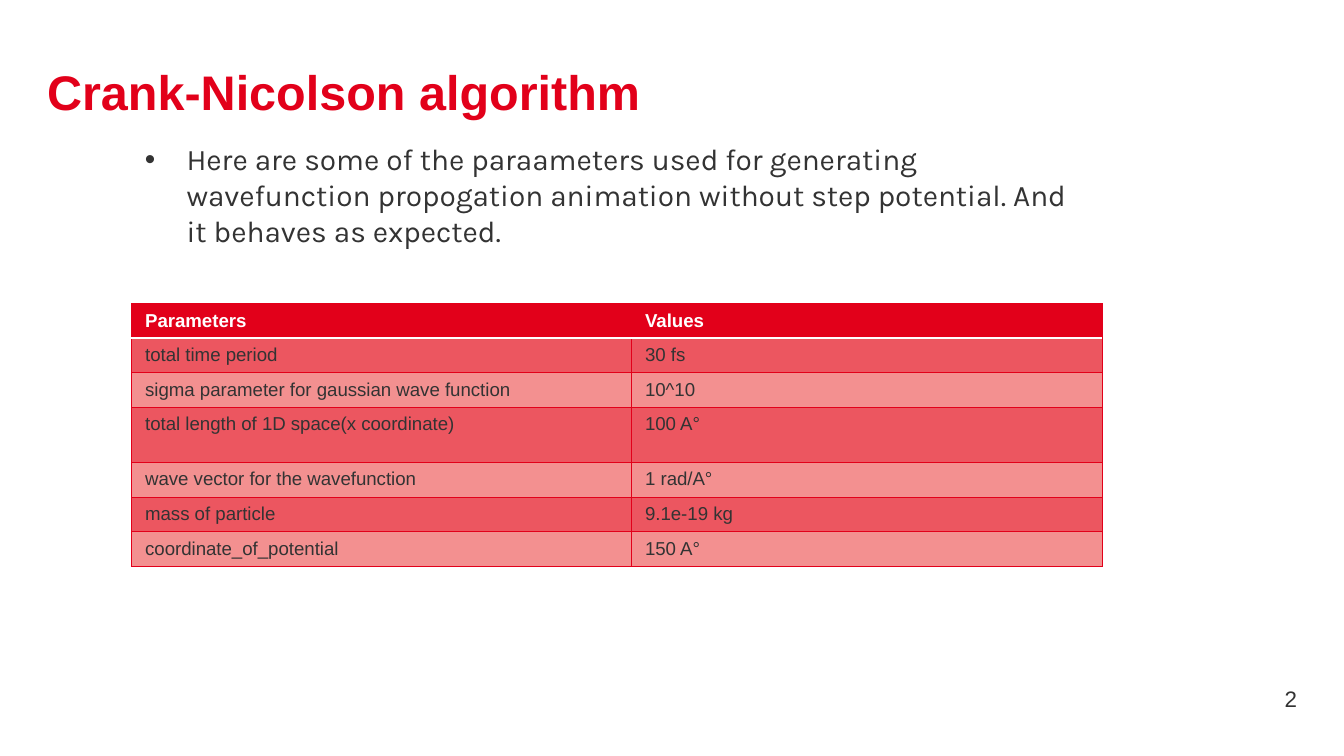
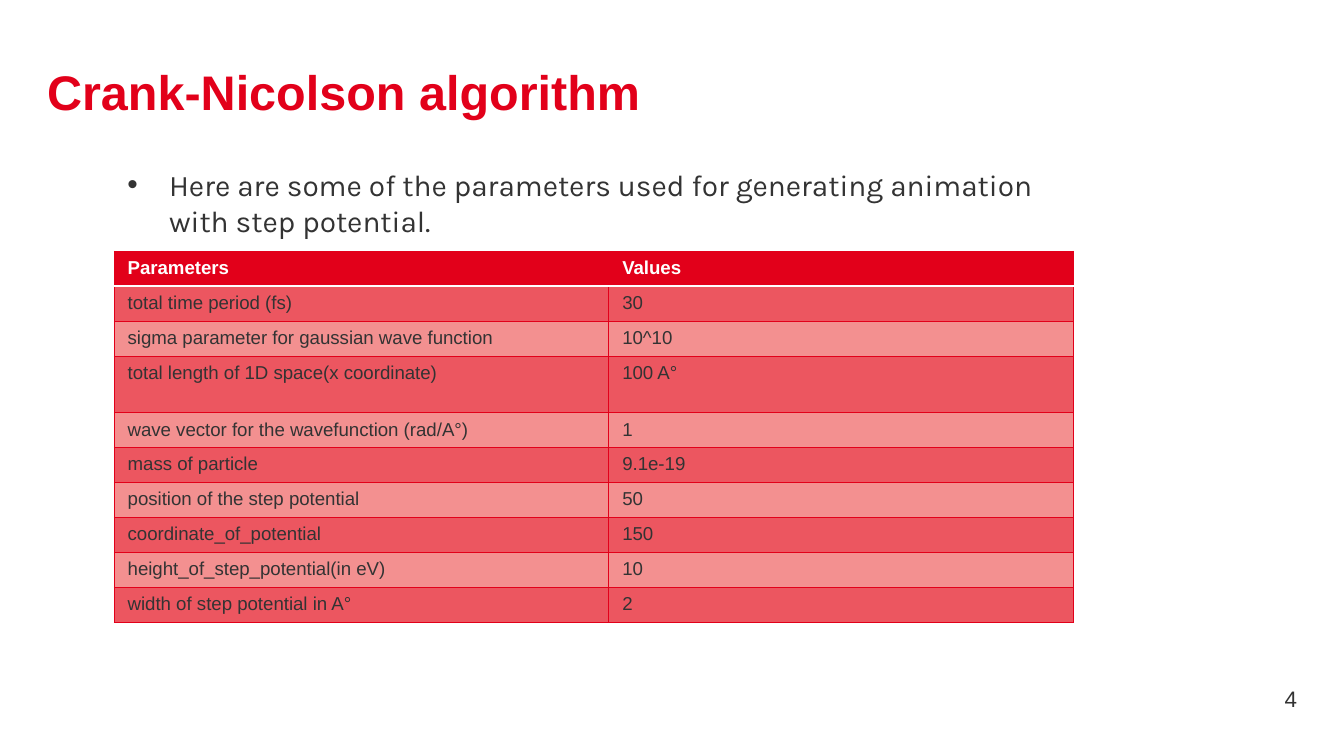
from lxml.etree import SubElement
from pptx import Presentation
from pptx.dml.color import RGBColor
from pptx.enum.text import MSO_ANCHOR, PP_ALIGN
from pptx.oxml.ns import qn
from pptx.util import Inches, Pt

COLORS = {
    "accent": "E2001A",
    "text": "333333",
    "white": "FFFFFF",
    "odd_row": "EC5660",
    "even_row": "F39090",
}
TITLE = "Crank-Nicolson algorithm"
HEADER = ("Parameters", "Values")
TALL_ROW = 3

SLIDES = [
    {
        "number": "2",
        "intro": "Here are some of the paraameters used for generating wavefunction "
                 "propogation animation without step potential. And it behaves as expected.",
        "intro_at": (0.98, 1, 7.22, 0.91),
        "table_at": (0.98, 2.26),
        "columns": (3.72, 3.5),
        "row_heights": (0.25, 0.41),
        "parameters": [
            ("total time period", "30 fs"),
            ("sigma parameter for gaussian wave function", "10^10"),
            ("total length of 1D space(x coordinate)", "100 A°"),
            ("wave vector for the wavefunction", "1 rad/A°"),
            ("mass of particle", "9.1e-19 kg"),
            ("coordinate_of_potential", "150 A°"),
        ],
    },
    {
        "number": "4",
        "intro": "Here are some of the parameters used for generating animation "
                 "with step potential.",
        "intro_at": (0.85, 1.19, 7.22, 0.64),
        "table_at": (0.85, 1.87),
        "columns": (3.68, 3.46),
        "row_heights": (0.26, 0.42),
        "parameters": [
            ("total time period (fs)", "30"),
            ("sigma parameter for gaussian wave function", "10^10"),
            ("total length of 1D space(x coordinate)", "100 A°"),
            ("wave vector for the wavefunction (rad/A°)", "1"),
            ("mass of particle", "9.1e-19"),
            ("position of the step potential", "50"),
            ("coordinate_of_potential", "150"),
            ("height_of_step_potential(in eV)", "10"),
            ("width of step potential in A°", "2"),
        ],
    },
]


def add_text(slide, text, at, size, color, font="Arial", bold=False, insets=(0.1, 0.1)):
    """Add a one-paragraph text box; insets are left and right. Return its frame."""
    frame = slide.shapes.add_textbox(*map(Inches, at)).text_frame
    frame.word_wrap = True
    frame.margin_left, frame.margin_right = map(Inches, insets)
    paragraph = frame.paragraphs[0]
    paragraph.text = text
    paragraph.font.name = font
    paragraph.font.size = Pt(size)
    paragraph.font.bold = bold
    paragraph.font.color.rgb = RGBColor.from_string(COLORS[color])
    return frame


def add_border(cell, side, color, width):
    line = SubElement(cell._tc.get_or_add_tcPr(), qn(f"a:ln{side}"), w=str(Pt(width)))
    fill = SubElement(line, qn("a:solidFill"))
    SubElement(fill, qn("a:srgbClr"), val=COLORS[color])


deck = Presentation()
deck.slide_width = Inches(10)
deck.slide_height = deck.slide_width * 9 // 16

for content in SLIDES:
    slide = deck.slides.add_slide(deck.slide_layouts[6])

    title = add_text(slide, TITLE, (0.35, 0.37, 9.29, 0.63), 26, "accent",
                     bold=True, insets=(0, 0.1))
    title.paragraphs[0].line_spacing = 1.1

    number = add_text(slide, content["number"], (8.88, 5.05, 0.77, 0.3), 12, "text",
                      insets=(0.1, 0))
    number.vertical_anchor = MSO_ANCHOR.MIDDLE
    number.paragraphs[0].alignment = PP_ALIGN.RIGHT
    number.paragraphs[0].space_after = Pt(6)

    rows = [HEADER] + content["parameters"]
    normal, tall = content["row_heights"]
    heights = [tall if i == TALL_ROW else normal for i in range(len(rows))]
    size = (sum(content["columns"]), sum(heights))
    table = slide.shapes.add_table(len(rows), len(HEADER),
                                   *map(Inches, content["table_at"] + size)).table
    for column, width in zip(table.columns, content["columns"]):
        column.width = Inches(width)

    for i, (values, height) in enumerate(zip(rows, heights)):
        table.rows[i].height = Inches(height)
        is_header = i == 0
        row_fill = "accent" if is_header else "odd_row" if i % 2 else "even_row"
        for cell, value in zip(table.rows[i].cells, values):
            for side in "LRTB":
                under_header = (i, side) in ((0, "B"), (1, "T"))
                add_border(cell, side, "white" if under_header else "accent",
                           1 if under_header else 0.5)
            cell.fill.solid()
            cell.fill.fore_color.rgb = RGBColor.from_string(COLORS[row_fill])
            cell.margin_bottom = Inches(0.04)
            cell.text = value
            font = cell.text_frame.paragraphs[0].font
            font.name, font.size, font.bold = "Arial", Pt(10), is_header
            font.color.rgb = RGBColor.from_string(COLORS["white" if is_header else "text"])

    intro = add_text(slide, content["intro"], content["intro_at"], 16, "text", font="Karla")
    bullet = intro.paragraphs[0]._p.get_or_add_pPr()
    bullet.set("marL", str(Inches(0.31)))
    bullet.set("indent", str(-Inches(0.31)))
    # Bullet elements must come before the default run properties.
    bullet_font = SubElement(bullet, qn("a:buFont"), typeface="Arial")
    bullet_char = SubElement(bullet, qn("a:buChar"), char="•")
    bullet.insert(0, bullet_font)
    bullet.insert(1, bullet_char)

deck.save("out.pptx")
